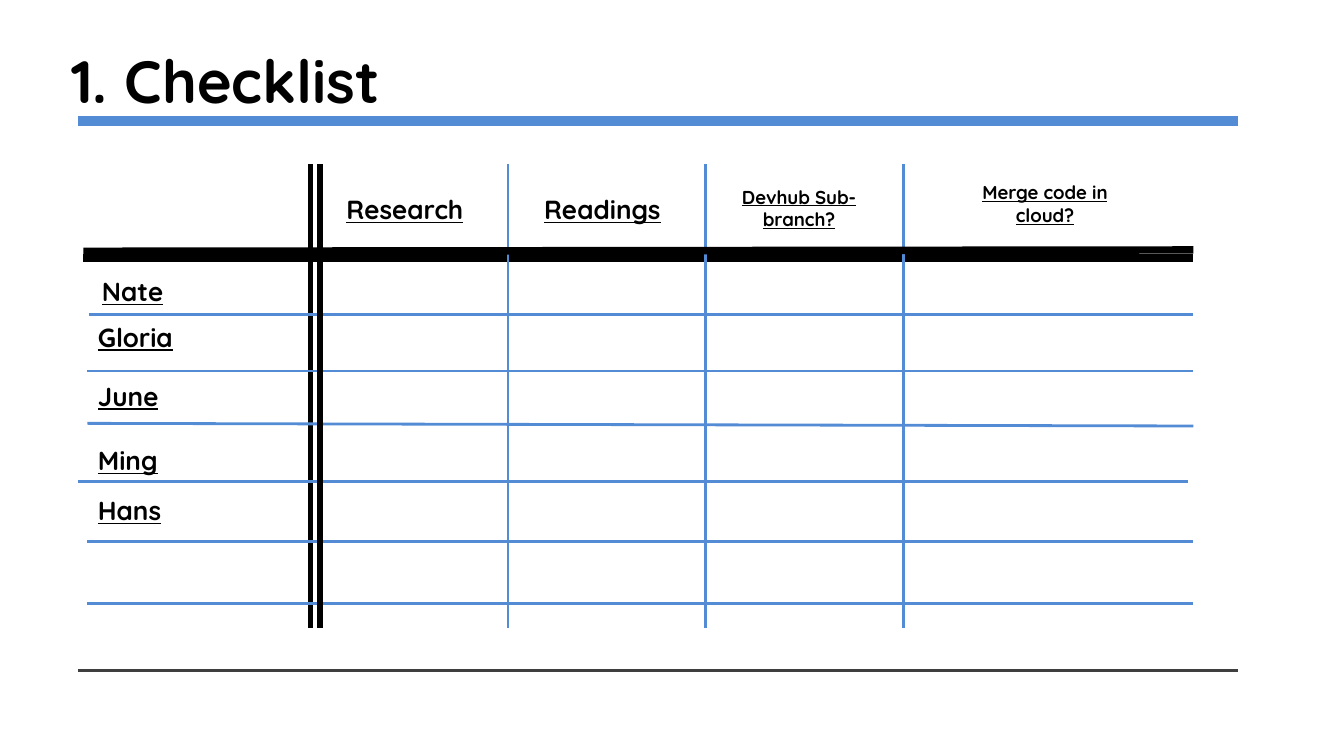
import pptx
import pptx.dml.color
import pptx.enum.shapes
import pptx.enum.text
import pptx.oxml.ns
import pptx.util
from lxml import etree

BLACK = pptx.dml.color.RGBColor(0x00, 0x00, 0x00)
BLUE = pptx.dml.color.RGBColor(0x53, 0x8C, 0xD5)
GRAY = pptx.dml.color.RGBColor(0x3F, 0x3F, 0x3F)

# A 16:9 slide on a grid of 100 columns by 56.25 rows
SLIDE_COLUMNS, SLIDE_ROWS = 100, 56.25
SLIDE_WIDTH = pptx.util.Inches(10)
SLIDE_HEIGHT = SLIDE_WIDTH * 9 // 16


def across(columns):
    return round(columns * SLIDE_WIDTH / SLIDE_COLUMNS)


def down(rows):
    return round(rows * SLIDE_HEIGHT / SLIDE_ROWS)


def rule(slide, start, end, color, weight):
    """Draw a straight line between two (column, row) points."""
    line = slide.shapes.add_connector(
        pptx.enum.shapes.MSO_CONNECTOR.STRAIGHT,
        across(start[0]), down(start[1]), across(end[0]), down(end[1]))
    line.line.color.rgb = color
    line.line.width = pptx.util.Pt(weight)
    etree.SubElement(line._element.spPr, pptx.oxml.ns.qn("a:effectLst"))


def write(frame, text, align, insets, **font_format):
    """Fill a text frame with one formatted paragraph."""
    side, edge = insets
    frame_format = {
        "word_wrap": True,
        "margin_left": pptx.util.Inches(side),
        "margin_right": pptx.util.Inches(side),
        "margin_top": pptx.util.Inches(edge),
        "margin_bottom": pptx.util.Inches(edge),
    }
    for name, value in frame_format.items():
        setattr(frame, name, value)
    paragraph = frame.paragraphs[0]
    paragraph.alignment = align
    run = paragraph.add_run()
    run.text = text
    run.font.color.rgb = BLACK
    for name, value in {"name": "Quicksand", "bold": True, **font_format}.items():
        setattr(run.font, name, value)


def label(slide, box, text, size, align=pptx.enum.text.PP_ALIGN.LEFT):
    """Add an underlined table label."""
    left, top, width, height = box
    frame = slide.shapes.add_textbox(
        across(left), down(top), across(width), down(height)).text_frame
    write(frame, text, align, (0.1, 0.05),
          size=pptx.util.Pt(size), underline=True)
    frame.auto_size = pptx.enum.text.MSO_AUTO_SIZE.SHAPE_TO_FIT_TEXT


def add_heading(slide, box, text):
    left, top, width, height = box
    heading = slide.shapes.title
    place = {"left": across(left), "top": down(top),
             "width": across(width), "height": down(height)}
    for name, value in place.items():
        setattr(heading, name, value)
    write(heading.text_frame, text, pptx.enum.text.PP_ALIGN.LEFT,
          (0.08, 0.04), size=pptx.util.Pt(32))
    heading.text_frame.vertical_anchor = pptx.enum.text.MSO_ANCHOR.MIDDLE


def add_frame_rules(slide, box):
    """Rule off the content area above and below."""
    left, top, width, height = box
    for row, color, weight in ((top, BLUE, 5), (top + height, GRAY, 2)):
        rule(slide, (left, row), (left + width, row), color, weight)


def add_checklist(slide, box):
    left, top, width, height = box
    right, bottom = left + width, top + height
    first_column, column_pitch = left + 16.9, 14.7

    def vertical(column, color, weight):
        rule(slide, (column, bottom), (column, top), color, weight)

    # First strokes of the doubled black rules, then the column rules
    rule(slide, (left, top + 7), (right, top + 7), BLACK, 4)
    vertical(first_column, BLACK, 3)
    for index in range(1, 4):
        vertical(first_column + index * column_pitch, BLUE, 1.5)

    # Row rules: start column, start row and end row, from the box corner
    row_rules = [(0.4, 11.2, 11.2), (0.3, 15.4, 15.4), (0.3, 19.3, 19.5),
                 (-0.4, 23.6, 23.6), (0.3, 28.1, 28.1), (0.3, 32.7, 32.7)]
    for start, start_row, end_row in row_rules:
        end = right + min(start, 0)
        rule(slide, (left + start, top + start_row),
             (end, top + end_row), BLUE, 1.5)

    # Second strokes of the doubled black rules
    rule(slide, (left, top + 6.5), (right, top + 6.4), BLACK, 4)
    vertical(first_column + 0.7, BLACK, 3)

    # Tasks: offset in the column, row offset, width, height, size, alignment
    centre = pptx.enum.text.PP_ALIGN.CENTER
    start = pptx.enum.text.PP_ALIGN.LEFT
    tasks = [("Research", 1.7, 1.7, 11.7, 3.4, 14, start),
             ("Readings", 1.7, 1.7, 11.2, 3.4, 14, start),
             ("Devhub Sub-branch?", 0.7, 1.1, 12.5, 3.1, 10, centre),
             ("Merge code in cloud?", 4.3, 0.8, 12.5, 4.4, 10, centre)]
    for index, (task, offset, row, wide, high, size, align) in enumerate(tasks):
        column = first_column + index * column_pitch + offset
        label(slide, (column, top + row, wide, high), task, size, align)

    # Members: offset, row offset and width
    members = [("Nate", 0.4, 7.8, 16.1), ("Gloria", 0.1, 11.2, 18.3),
               ("June", 0.1, 15.6, 16.1), ("Ming", 0.1, 20.4, 16.8),
               ("Hans", 0.1, 24.1, 16.1)]
    for member, offset, row, wide in members:
        label(slide, (left + offset, top + row, wide, 3.4), member, 14)


def main():
    deck = pptx.Presentation()
    deck.slide_width, deck.slide_height = SLIDE_WIDTH, SLIDE_HEIGHT
    slide = deck.slides.add_slide(deck.slide_layouts.get_by_name("Title Only"))
    add_heading(slide, (4.5, 2.9, 66.6, 6.1), "1. Checklist")
    add_frame_rules(slide, (5.8, 9, 86.3, 40.9))
    add_checklist(slide, (6.2, 12.2, 82.6, 34.5))
    deck.save("out.pptx")


if __name__ == "__main__":
    main()
